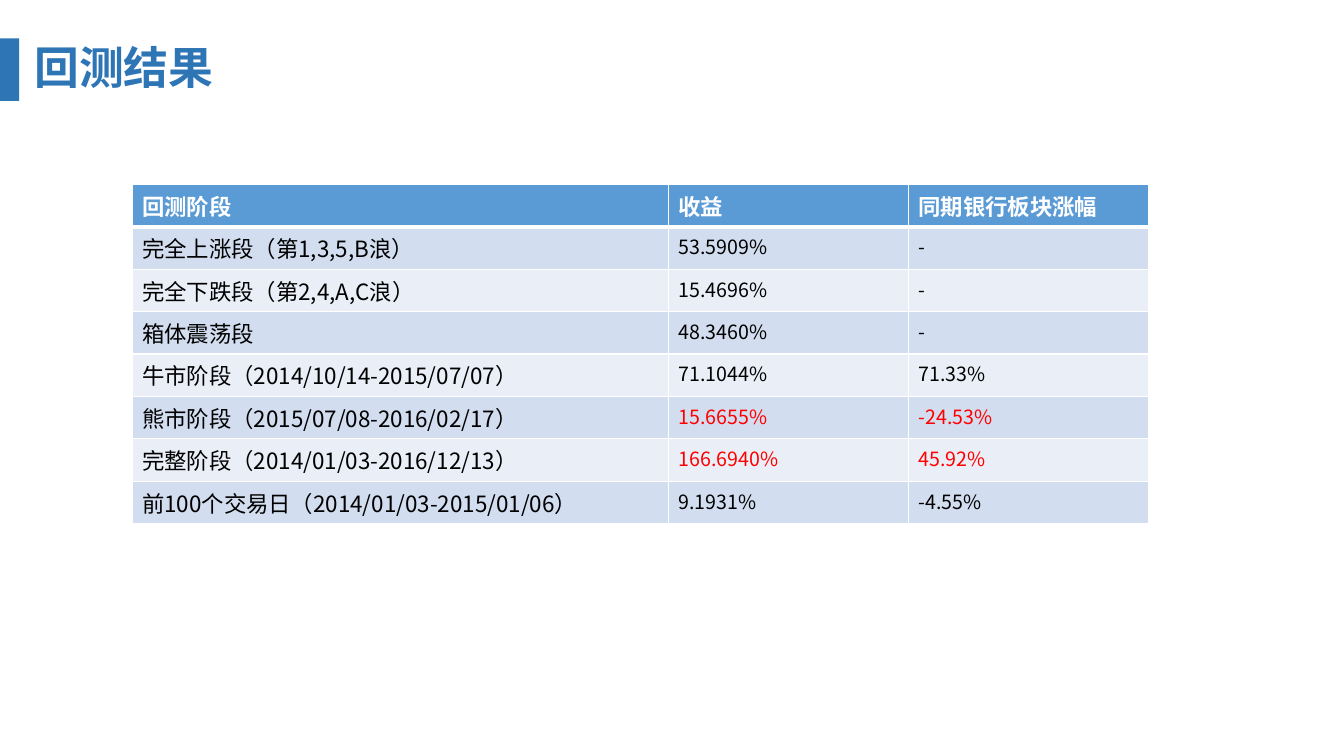
from dataclasses import dataclass

from lxml.etree import SubElement
from pptx import Presentation
from pptx.dml.color import RGBColor
from pptx.enum.shapes import MSO_SHAPE
from pptx.enum.text import MSO_ANCHOR, PP_ALIGN
from pptx.oxml import parse_xml
from pptx.oxml.ns import nsdecls, qn
from pptx.util import Inches, Pt

FONT = "Noto Sans CJK SC"
BLUE, HEADER_BLUE = "2E75B6", "5B9BD5"
BANDS = ("D2DEEF", "EAEFF7")
WHITE, BLACK, RED = "FFFFFF", "000000", "FF0000"


@dataclass
class Stage:
    name: str
    profit: str
    sector: str = "-"
    color: str = BLACK


HEADERS = ("回测阶段", "收益", "同期银行板块涨幅")
STAGES = (
    Stage("完全上涨段（第1,3,5,B浪）", "53.5909%"),
    Stage("完全下跌段（第2,4,A,C浪）", "15.4696%"),
    Stage("箱体震荡段", "48.3460%"),
    Stage("牛市阶段（2014/10/14-2015/07/07）", "71.1044%", "71.33%"),
    Stage("熊市阶段（2015/07/08-2016/02/17）", "15.6655%", "-24.53%", RED),
    Stage("完整阶段（2014/01/03-2016/12/13）", "166.6940%", "45.92%", RED),
    Stage("前100个交易日（2014/01/03-2015/01/06）", "9.1931%", "-4.55%"),
)
COLUMN_WIDTHS = (5.32, 2.38, 2.38)
ROW_HEIGHT = 0.41


def rgb(value: str) -> RGBColor:
    return RGBColor.from_string(value)


def write(tf, text: str, size: int, color: str, bold: bool = False) -> None:
    tf.text = text
    p = tf.paragraphs[0]
    p.alignment = PP_ALIGN.LEFT
    p.font.size = Pt(size)
    p.font.bold = bold
    p.font.name = FONT
    p.font.color.rgb = rgb(color)
    # East Asian glyphs take their own typeface
    SubElement(p.font._element, qn("a:ea"), typeface=FONT)


def set_borders(cell, top: int, bottom: int) -> None:
    widths = {"lnL": 1, "lnR": 1, "lnT": top, "lnB": bottom}
    tcPr = cell._tc.get_or_add_tcPr()
    for i, (side, width) in enumerate(widths.items()):
        tcPr.insert(i, parse_xml(
            f'<a:{side} {nsdecls("a")} w="{Pt(width)}"><a:solidFill>'
            f'<a:srgbClr val="{WHITE}"/></a:solidFill></a:{side}>'))


def fill_cell(cell, text: str, size: int, color: str, fill: str,
              bold: bool = False, top: int = 1, bottom: int = 1) -> None:
    write(cell.text_frame, text, size, color, bold)
    cell.fill.solid()
    cell.fill.fore_color.rgb = rgb(fill)
    set_borders(cell, top, bottom)


def add_title(slide, text: str) -> None:
    sp = slide.shapes.title
    sp.left, sp.top = Inches(0.24), Inches(0.34)
    sp.width, sp.height = Inches(5.9), Inches(0.64)
    write(sp.text_frame, text, 32, BLUE, bold=True)
    sp.text_frame.vertical_anchor = MSO_ANCHOR.TOP


def add_accent_bar(slide) -> None:
    sp = slide.shapes.add_shape(MSO_SHAPE.RECTANGLE, Inches(0), Inches(0.38),
                                Inches(0.19), Inches(0.62))
    sp.shadow.inherit = False
    sp.fill.solid()
    sp.fill.fore_color.rgb = rgb(BLUE)
    sp.line.fill.background()


def add_results(slide) -> None:
    rows = len(STAGES) + 1
    table = slide.shapes.add_table(
        rows, len(HEADERS), Inches(1.31), Inches(1.83),
        Inches(sum(COLUMN_WIDTHS)), Inches(ROW_HEIGHT * rows)).table
    for column, width in zip(table.columns, COLUMN_WIDTHS):
        column.width = Inches(width)

    # Header row
    for col, text in enumerate(HEADERS):
        fill_cell(table.cell(0, col), text, 16, WHITE, HEADER_BLUE,
                  bold=True, bottom=3)

    # One banded row per stage
    for row, stage in enumerate(STAGES, start=1):
        fill = BANDS[(row - 1) % 2]
        top = 3 if row == 1 else 1
        fill_cell(table.cell(row, 0), stage.name, 16, BLACK, fill, top=top)
        for col, text in enumerate((stage.profit, stage.sector), start=1):
            fill_cell(table.cell(row, col), text, 14, stage.color, fill, top=top)


def main() -> None:
    prs = Presentation()
    prs.slide_width, prs.slide_height = Inches(13.33), Inches(7.5)
    slide = prs.slides.add_slide(prs.slide_layouts[5])
    add_results(slide)
    add_accent_bar(slide)
    add_title(slide, "回测结果")
    prs.save("out.pptx")


if __name__ == "__main__":
    main()
